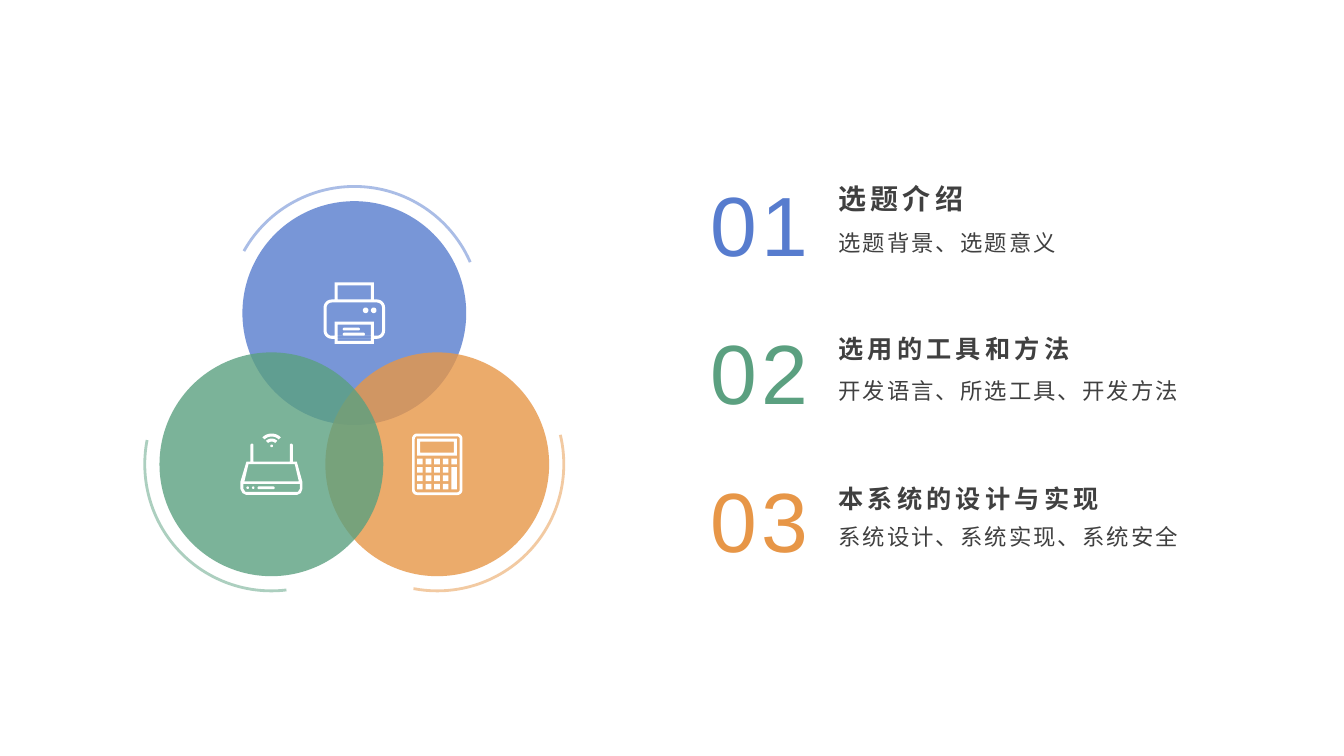
import math
from dataclasses import dataclass

from lxml import etree
from pptx import Presentation
from pptx import util as u
from pptx.dml import color
from pptx.enum import lang, shapes, text
from pptx.oxml import ns


@dataclass(frozen=True)
class Theme:
    """Colours, font and type sizes of the slide."""
    blue: str = "577CCE"
    green: str = "5BA080"
    orange: str = "E79647"
    ink: str = "404040"
    white: str = "FFFFFF"
    font: str = "Arial"
    number: int = 60
    lead_heading: int = 20
    heading: int = 18
    detail: int = 16


THEME = Theme()
ICON_UNIT = u.Cm(0.0254)
PRECISION = 100


def paint(fill, hex_color, opacity=100):
    """Give a fill a solid colour with an opacity in percent."""
    fill.solid()
    fill.fore_color.rgb = color.RGBColor.from_string(hex_color)
    if opacity < 100:
        for tint in fill._xPr.iter(ns.qn("a:srgbClr")):
            etree.SubElement(tint, ns.qn("a:alpha"), val=str(opacity * 1000))


def add_label(slide, box, words, size, hex_color, spacing, leading=1.0, bold=False):
    """Add one paragraph of letter-spaced text in a (left, top, width, height) box."""
    label = slide.shapes.add_textbox(*(u.Cm(length) for length in box))
    frame = label.text_frame
    frame.word_wrap = True
    paragraph = frame.paragraphs[0]
    paragraph.text = words
    paragraph.line_spacing = leading
    font = paragraph.font
    font.name, font.size, font.bold = THEME.font, u.Pt(size), bold
    font.color.rgb = color.RGBColor.from_string(hex_color)
    font.language_id = lang.MSO_LANGUAGE_ID.SIMPLIFIED_CHINESE
    font._rPr.set("spc", str(int(spacing * 100)))
    return frame


def rounded(x, y, width, height, radius=0.0):
    """Return the outline of a rectangle with rounded corners."""
    if not radius:
        return [(x, y), (x + width, y), (x + width, y + height), (x, y + height)]
    centers = [(x + width - radius, y + height - radius), (x + radius, y + height - radius),
               (x + radius, y + radius), (x + width - radius, y + radius)]
    return [(cx + radius * math.cos(math.radians(90 * corner + step)),
             cy + radius * math.sin(math.radians(90 * corner + step)))
            for corner, (cx, cy) in enumerate(centers) for step in range(0, 91, 15)]


def signal(x, y, outer, inner):
    """Return the outline of a quarter-circle band that opens upwards."""
    angles = [math.radians(degree) for degree in range(225, 316, 10)]
    return ([(x + outer * math.cos(a), y + outer * math.sin(a)) for a in angles]
            + [(x + inner * math.cos(a), y + inner * math.sin(a)) for a in reversed(angles)])


def printer_outlines():
    """Return the outlines of the printer icon."""
    return [rounded(0, 17, 61, 39, 8), rounded(3, 20, 55, 33, 5),
            rounded(11, 0, 39, 17), rounded(14, 3, 33, 14),
            rounded(11, 39, 39, 14), rounded(11, 56, 39, 5), rounded(14, 42, 33, 16),
            rounded(39, 25, 5.5, 5.5, 2.75), rounded(47, 25, 5.5, 5.5, 2.75),
            rounded(19, 45, 17, 2.8, 1.4), rounded(19, 50, 22, 2.8, 1.4)]


def router_outlines():
    """Return the outlines of the router icon."""
    case = [(6, 28), (10, 28), (10, 11), (11, 10), (12, 10), (13, 11), (13, 28),
            (49, 28), (49, 11), (50, 10), (51, 10), (52, 11), (52, 28), (56, 28),
            (61.5, 48), (61.5, 55), (60, 59), (56, 61), (6, 61), (2, 59), (0, 55), (0, 48)]
    front = [(3, 50), (59, 50), (59, 55), (57, 58), (5, 58), (3, 55)]
    lid = [(8, 30.5), (54, 30.5), (58, 47.5), (4, 47.5)]
    return [case, front, lid, rounded(17, 52.5, 17, 2.8, 1.4),
            rounded(6, 52.5, 2.5, 2.5, 1.25), rounded(11.5, 52.5, 2.5, 2.5, 1.25),
            signal(31, 13, 13, 10), signal(31, 13, 8, 5), rounded(29.7, 11, 2.6, 2.6, 1.3)]


def calculator_outlines():
    """Return the outlines of the calculator icon."""
    keys = [rounded(5 + 8.5 * column, 25 + 8.3 * row, 5.6, 5.6)
            for row in range(4) for column in range(5) if row == 0 or column < 4]
    return [rounded(0, 0, 50, 61, 5), rounded(2.7, 2.7, 44.6, 55.6, 2.5),
            rounded(5, 5, 39.5, 17), rounded(8, 8, 33.5, 11),
            *keys, rounded(39, 33.3, 5.6, 22)]


def add_icon(slide, center, outlines):
    """Draw white outlines as one shape centred on a disc."""
    scaled = [[(x * PRECISION, y * PRECISION) for x, y in outline] for outline in outlines]
    pen = slide.shapes.build_freeform(*scaled[0][0], scale=ICON_UNIT / PRECISION)
    pen.add_line_segments(scaled[0][1:], close=True)
    for outline in scaled[1:]:
        pen.move_to(*outline[0])
        pen.add_line_segments(outline[1:], close=True)
    icon = pen.convert_to_shape()
    icon.left = center[0] - icon.width // 2
    icon.top = center[1] - icon.height // 2
    icon.shadow.inherit = False
    paint(icon.fill, THEME.white)
    icon.line.fill.background()


def add_disc(slide, left, top, hex_color, start, end):
    """Draw a translucent disc with an arc around it and return its centre."""
    ring, gap = 6.38, 0.37
    diameter = u.Cm(ring - 2 * gap)
    disc = slide.shapes.add_shape(shapes.MSO_SHAPE.OVAL, u.Cm(left + gap), u.Cm(top + gap),
                                  diameter, diameter)
    disc.shadow.inherit = False
    paint(disc.fill, hex_color, 80)
    disc.line.fill.background()

    arc = slide.shapes.add_shape(shapes.MSO_SHAPE.ARC, u.Cm(left), u.Cm(top),
                                 u.Cm(ring), u.Cm(ring))
    arc.shadow.inherit = False
    arc.adjustments[0], arc.adjustments[1] = start * 0.6, end * 0.6
    arc.fill.background()
    arc.line.width = u.Pt(2)
    paint(arc.line.fill, hex_color, 50)
    return u.Cm(left + ring / 2), u.Cm(top + ring / 2)


def add_venn(slide, left, top):
    """Draw three overlapping discs in a triangle, each with its icon."""
    across, down = 2.09, 3.81
    discs = [(1, 0, THEME.blue, 209.3, 336.3, printer_outlines()),
             (2, 1, THEME.orange, 346.55, 100.8, calculator_outlines()),
             (0, 1, THEME.green, 83.16, 191.04, router_outlines())]
    centers = [add_disc(slide, left + across * column, top + down * row, hue, start, end)
               for column, row, hue, start, end, _ in discs]
    for center, (*_, outlines) in zip(centers, discs):
        add_icon(slide, center, outlines)


def add_agenda(slide, left, top):
    """List the numbered chapters with a heading and a detail line each."""
    pitch, text_left, text_width = 3.73, left + 3.33, 9.35
    chapters = [
        ("选题介绍", "选题背景、选题意义", THEME.blue, THEME.lead_heading, 1.2, 1.42),
        ("选用的工具和方法", "开发语言、所选工具、开发方法", THEME.green, THEME.heading, 1.3, 1.42),
        ("本系统的设计与实现", "系统设计、系统实现、系统安全", THEME.orange, THEME.heading, 1.3, 1.37)]
    for index, (heading, detail, hue, size, leading, drop) in enumerate(chapters):
        row = top + pitch * index
        add_label(slide, (text_left, row + drop, text_width, 1.83), detail,
                  THEME.detail, THEME.ink, 1.5, 1.1)
        add_label(slide, (text_left, row + 0.1 + 0.05 * index, text_width, 1.35), heading,
                  size, THEME.ink, 3, leading, bold=True)
        number = add_label(slide, (left, row, 3.18, 2.87), f"{index + 1:02}",
                           THEME.number, hue, 3)
        number.margin_left = number.margin_right = number.margin_top = number.margin_bottom = 0
        number.vertical_anchor = text.MSO_ANCHOR.MIDDLE
        number.paragraphs[0].alignment = text.PP_ALIGN.CENTER


def main():
    """Build the contents slide."""
    deck = Presentation()
    deck.slide_width, deck.slide_height = u.Cm(33.87), u.Cm(19.05)
    slide = deck.slides.add_slide(deck.slide_layouts[6])
    add_agenda(slide, 17.55, 4.17)
    add_venn(slide, 3.65, 4.7)
    deck.save("out.pptx")


if __name__ == "__main__":
    main()
